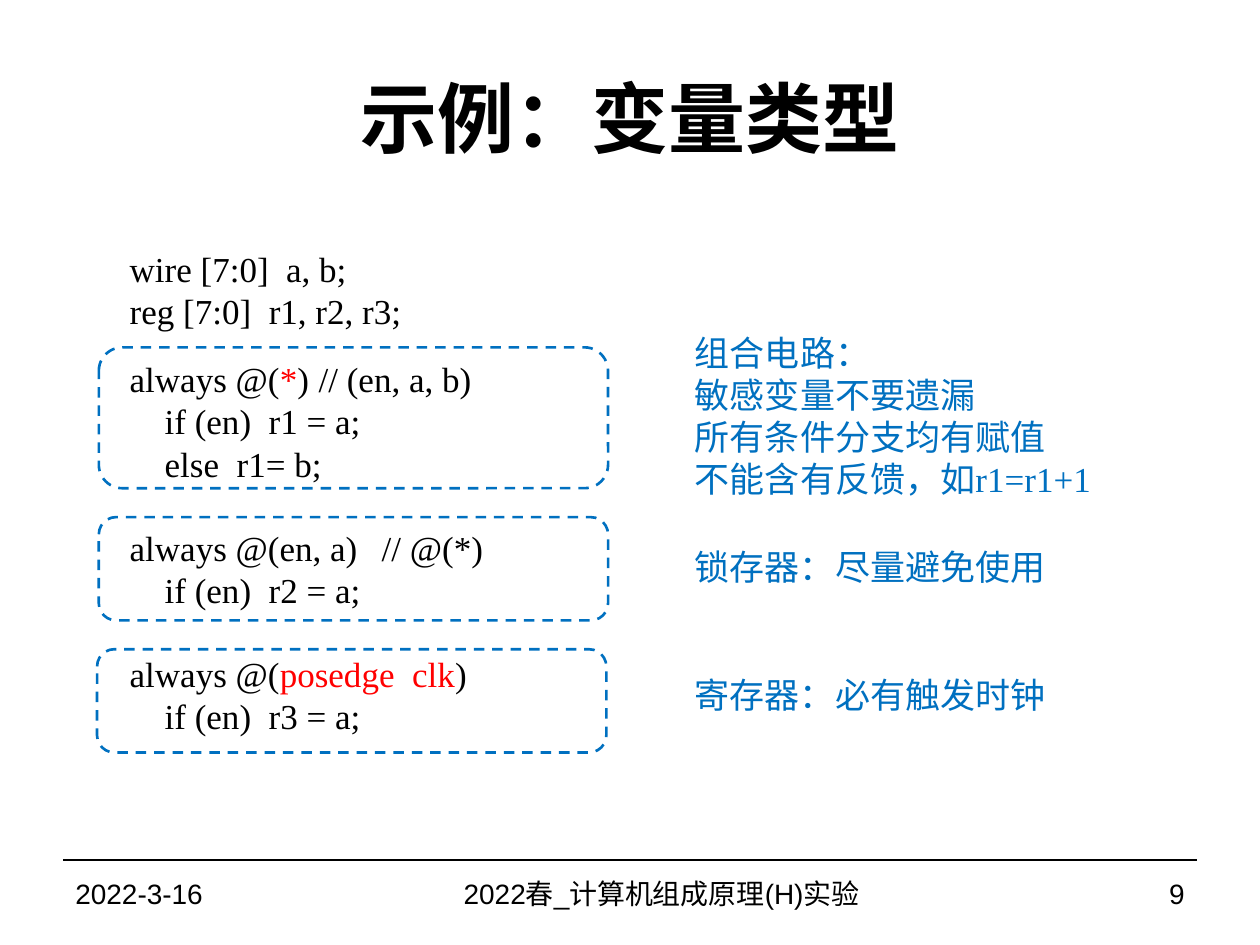
from pptx import Presentation
from pptx import util as u
from pptx.dml.color import RGBColor
from pptx.enum import dml, shapes, text
from pptx.oxml.ns import qn

Pt = u.Pt
BLACK = RGBColor(0x00, 0x00, 0x00)
RED = RGBColor(0xFF, 0x00, 0x00)
BLUE = RGBColor(0x00, 0x70, 0xC0)
SERIF, SANS = "Times New Roman", "Arial"
LINE_PITCH = 24
LEFT, CENTER, RIGHT = text.PP_ALIGN.LEFT, text.PP_ALIGN.CENTER, text.PP_ALIGN.RIGHT

DECLARATIONS = ["wire [7:0]  a, b;", "reg [7:0]  r1, r2, r3;"]
ALWAYS_BLOCKS = [
    (15, "*", ["always @(*)\t// (en, a, b)", "if (en)  r1 = a;", "else  r1= b;"]),
    (LINE_PITCH, None, ["always @(en, a)\t// @(*)", "if (en)  r2 = a;"]),
    (LINE_PITCH, "posedge  clk", ["always @(posedge  clk)", "if (en)  r3 = a;"]),
]
CIRCUIT_NOTES = [
    (186, 290, 119, ["组合电路：", "敏感变量不要遗漏", "所有条件分支均有赋值", "不能含有反馈，如r1=r1+1"]),
    (308, 263, 37.5, ["锁存器：尽量避免使用"]),
    (381.5, 263, 37.5, ["寄存器：必有触发时钟"]),
]
FRAMES = [(56.5, 198.5, 80.5), (56.5, 295.5, 59), (55.5, 371, 59)]


def add_text_frame(slide, left, top, width, height, anchor=text.MSO_ANCHOR.TOP):
    """Add a wrapping text box and return its text frame."""
    box = slide.shapes.add_textbox(Pt(left), Pt(top), Pt(width), Pt(height))
    frame = box.text_frame
    frame.word_wrap = True
    frame.vertical_anchor = anchor
    return frame


def style(paragraph, size, font, color, align=LEFT):
    """Set the font and alignment of a paragraph."""
    paragraph.alignment = align
    paragraph.font.size = Pt(size)
    paragraph.font.name = font
    paragraph.font.color.rgb = color


def add_line(frame, first, color):
    """Return a styled body paragraph, reusing the empty first one."""
    paragraph = frame.paragraphs[0] if first else frame.add_paragraph()
    style(paragraph, 20, SERIF, color)
    paragraph.line_spacing = Pt(LINE_PITCH)
    return paragraph


def add_title(slide, left, top, width, height):
    """Place the centred slide title."""
    frame = add_text_frame(slide, left, top, width, height, text.MSO_ANCHOR.MIDDLE)
    paragraph = frame.paragraphs[0]
    paragraph.text = "示例：变量类型"
    style(paragraph, 44, SANS, BLACK, CENTER)
    paragraph.font.bold = True


def add_code(slide, left, top, width, height):
    """Place the declarations and the three always blocks."""
    frame = add_text_frame(slide, left, top, width, height)
    for index, line in enumerate(DECLARATIONS):
        add_line(frame, index == 0, BLACK).text = line
    for gap, highlight, (header, *body) in ALWAYS_BLOCKS:
        paragraph = add_line(frame, False, BLACK)
        paragraph.space_before = Pt(gap)
        if highlight:
            before, marked, after = header.partition(highlight)
            paragraph.add_run().text = before
            run = paragraph.add_run()
            run.text = marked
            run.font.color.rgb = RED
            paragraph.add_run().text = after
        else:
            paragraph.text = header
        for line in body:
            paragraph = add_line(frame, False, BLACK)
            paragraph.text = line
            properties = paragraph._p.get_or_add_pPr()
            properties.set("marL", str(Pt(20)))
            properties.set("indent", "0")


def add_note(slide, left, top, width, height, lines):
    """Place one blue note about a circuit type."""
    frame = add_text_frame(slide, left, top, width, height)
    for index, line in enumerate(lines):
        add_line(frame, index == 0, BLUE).text = line


def add_frame(slide, left, top, width, height):
    """Draw a dashed rounded frame around an always block."""
    shape = slide.shapes.add_shape(
        shapes.MSO_SHAPE.ROUNDED_RECTANGLE, Pt(left), Pt(top), Pt(width), Pt(height))
    shape.shadow.inherit = False
    shape.fill.background()
    shape.line.color.rgb = BLUE
    shape.line.width = Pt(1.5)
    shape.line.dash_style = dml.MSO_LINE.DASH


def add_footer(slide, left, top, width, height):
    """Place the rule, date, course name and page number."""
    rule = slide.shapes.add_connector(
        shapes.MSO_CONNECTOR.STRAIGHT, Pt(left), Pt(top), Pt(left + width), Pt(top))
    rule.line.color.rgb = BLACK
    rule.line.width = Pt(0.75)
    properties = rule._element.spPr
    properties.append(properties.makeelement(qn("a:effectLst"), {}))
    parts = [
        (168, "2022-3-16", LEFT),
        (348, "2022春_计算机组成原理(H)实验", CENTER),
        (132, "9", RIGHT),
    ]
    for part_width, words, align in parts:
        frame = add_text_frame(slide, left, top, part_width, height, text.MSO_ANCHOR.MIDDLE)
        paragraph = frame.paragraphs[0]
        paragraph.text = words
        style(paragraph, 16, SANS, BLACK, align)
        left += part_width


def main():
    """Build and save the slide."""
    presentation = Presentation()
    presentation.slide_width, presentation.slide_height = Pt(720), Pt(540)
    slide = presentation.slides.add_slide(presentation.slide_layouts[6])
    add_title(slide, 36, 21.6, 648, 90)
    add_code(slide, 67, 138, 303, 292)
    for left, top, height in FRAMES:
        add_frame(slide, left, top, 291, height)
    for top, width, height, lines in CIRCUIT_NOTES:
        add_note(slide, 390, top, width, height, lines)
    add_footer(slide, 36, 491.5, 648, 37.5)
    presentation.save("out.pptx")


if __name__ == "__main__":
    main()
